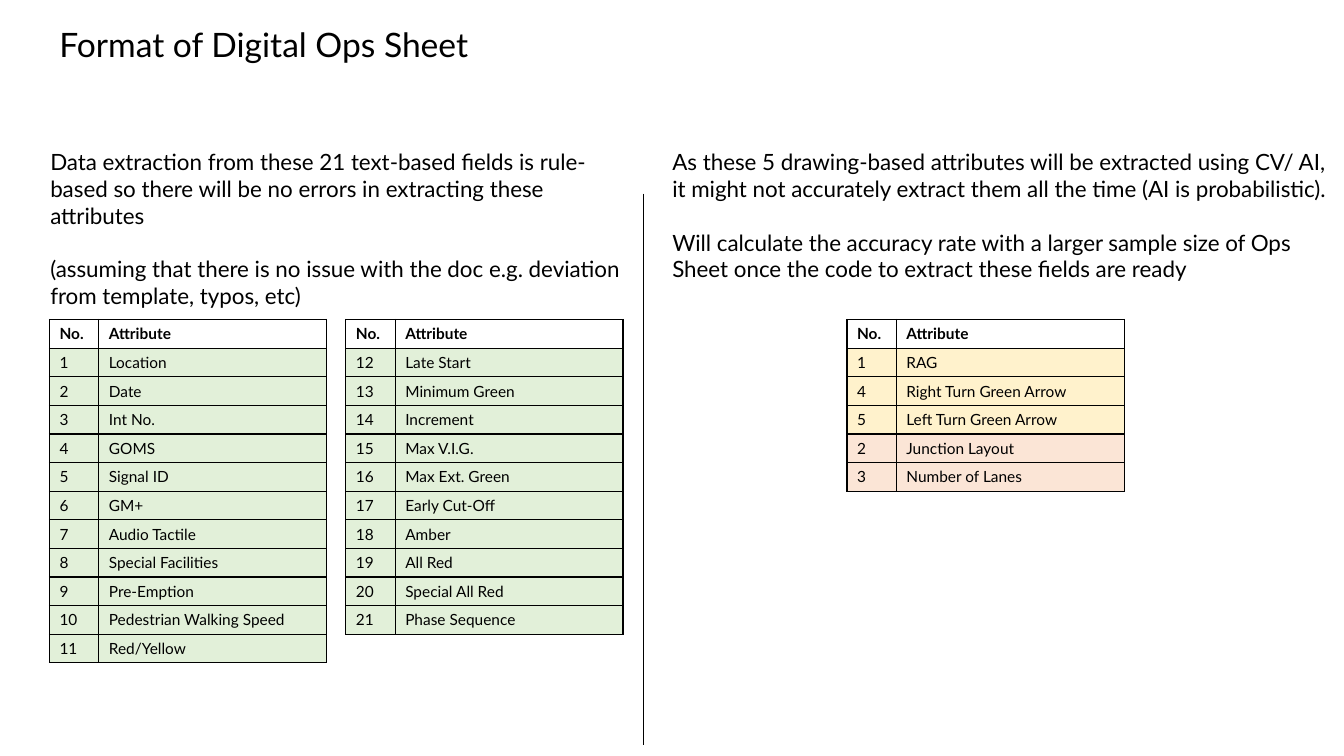
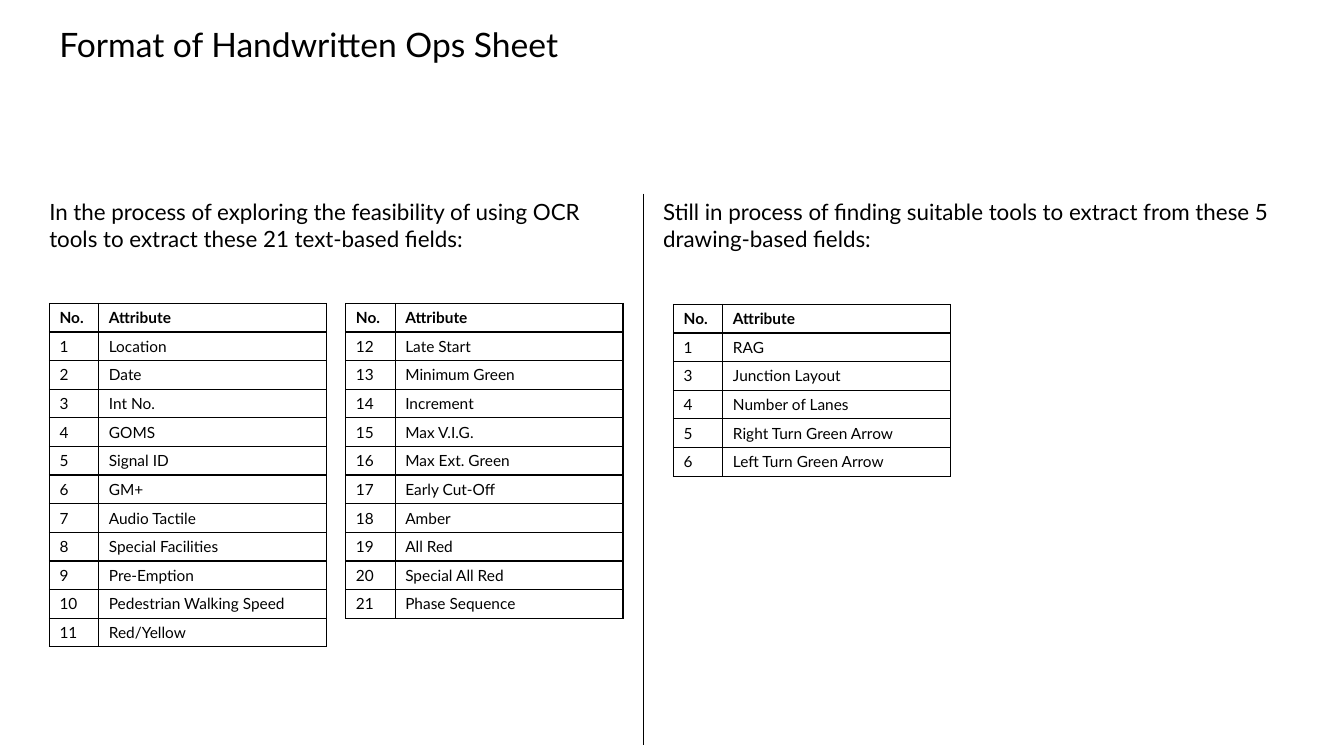
from lxml import etree
from pptx import Presentation
from pptx.dml.color import RGBColor
from pptx.enum.shapes import MSO_CONNECTOR
from pptx.oxml.ns import qn
from pptx.util import Inches, Pt

STRAIGHT = MSO_CONNECTOR.STRAIGHT
BLACK = RGBColor(0x00, 0x00, 0x00)
GREEN = RGBColor(0xE2, 0xF0, 0xD9)
YELLOW = RGBColor(0xFF, 0xF2, 0xCC)
ORANGE = RGBColor(0xFB, 0xE5, 0xD6)
FONT = "Lato"

# Shared grid, in inches
SLIDE_WIDTH, SLIDE_HEIGHT = 13.33, 7.5
MARGIN = 0.49
COLUMN_WIDTHS = (0.49, 2.26)
TABLE_WIDTH = sum(COLUMN_WIDTHS)
TABLE_GAP = 0.19
ROW_HEIGHT = 0.28
LEFT_WIDTH, RIGHT_WIDTH = 5.88, 6.73
DIVIDER_X, DIVIDER_TOP, DIVIDER_BOTTOM = 6.38, 1.92, 7.39
BODY_GAP = 19.2  # points, one line of body text

TEXT_FIELDS = [
    "Location", "Date", "Int No.", "GOMS", "Signal ID", "GM+",
    "Audio Tactile", "Special Facilities", "Pre-Emption",
    "Pedestrian Walking Speed", "Red/Yellow", "Late Start",
    "Minimum Green", "Increment", "Max V.I.G.", "Max Ext. Green",
    "Early Cut-Off", "Amber", "All Red", "Special All Red",
    "Phase Sequence",
]
FIRST_TABLE_ROWS = 11


def add_span(para, text, size, bold=False):
    span = para.add_run()
    span.text = text
    span.font.name = FONT
    span.font.size = Pt(size)
    span.font.bold = bold
    span.font.color.rgb = BLACK


def add_text(page, box, paragraphs, size):
    """Wrapped text, with one line of space between paragraphs."""
    frame = page.shapes.add_textbox(*map(Inches, box)).text_frame
    frame.word_wrap = True
    for index, text in enumerate(paragraphs):
        para = frame.add_paragraph() if index else frame.paragraphs[0]
        if index:
            para.space_before = Pt(BODY_GAP)
        add_span(para, text, size)


def add_borders(cell):
    properties = cell._tc.get_or_add_tcPr()
    for side in ("a:lnL", "a:lnR", "a:lnT", "a:lnB"):
        line = etree.SubElement(properties, qn(side), w=str(Pt(1)))
        fill = etree.SubElement(line, qn("a:solidFill"))
        etree.SubElement(fill, qn("a:srgbClr"), val=str(BLACK))


def add_attribute_table(page, left, top, rows):
    """Header plus rows of (number, attribute, fill colour or None)."""
    rows = [("No.", "Attribute", None)] + rows
    table = page.shapes.add_table(
        len(rows), len(COLUMN_WIDTHS), Inches(left), Inches(top),
        Inches(TABLE_WIDTH), Inches(ROW_HEIGHT * len(rows))).table
    table.first_row = table.horz_banding = False
    for column, width in zip(table.columns, COLUMN_WIDTHS):
        column.width = Inches(width)
    for index, (number, attribute, color) in enumerate(rows):
        table.rows[index].height = Inches(ROW_HEIGHT)
        for cell, text in zip(table.rows[index].cells, (number, attribute)):
            add_borders(cell)
            if color is None:
                cell.fill.background()
            else:
                cell.fill.solid()
                cell.fill.fore_color.rgb = color
            add_span(cell.text_frame.paragraphs[0], str(text), 11, index == 0)


def add_text_field_tables(page, left, top, color):
    """The 21 text fields, split over two tables side by side."""
    rows = [(number, name, color) for number, name in enumerate(TEXT_FIELDS, 1)]
    for index, part in enumerate((rows[:FIRST_TABLE_ROWS], rows[FIRST_TABLE_ROWS:])):
        add_attribute_table(page, left + index * (TABLE_WIDTH + TABLE_GAP), top, part)


def add_divider(page):
    line = page.shapes.add_connector(
        STRAIGHT, Inches(DIVIDER_X), Inches(DIVIDER_TOP),
        Inches(DIVIDER_X), Inches(DIVIDER_BOTTOM))
    line.line.color.rgb = BLACK
    line.line.width = Pt(0.5)
    etree.SubElement(line._element.spPr, qn("a:effectLst"))


def add_format_slide(deck, title, text_top, text_height, left_text, right_text,
                     table_top, field_color, drawing_table):
    """Title, text fields left of the divider, drawing fields right of it."""
    page = deck.slides.add_slide(deck.slide_layouts[6])
    add_text(page, (MARGIN, 0.19, DIVIDER_X - MARGIN, 0.5), [title], 24)
    add_divider(page)

    # Left half
    left, paragraphs = left_text
    add_text(page, (left, text_top, LEFT_WIDTH, text_height), paragraphs, 16)
    add_text_field_tables(page, MARGIN, table_top, field_color)

    # Right half
    left, paragraphs = right_text
    add_text(page, (left, text_top, RIGHT_WIDTH, text_height), paragraphs, 16)
    add_attribute_table(page, *drawing_table)


def main():
    deck = Presentation()
    deck.slide_width = Inches(SLIDE_WIDTH)
    deck.slide_height = Inches(SLIDE_HEIGHT)

    add_format_slide(
        deck, "Format of Digital Ops Sheet", 1.42, 1.72,
        (0.4, [
            "Data extraction from these 21 text-based fields is rule-based so "
            "there will be no errors in extracting these attributes",
            "(assuming that there is no issue with the doc e.g. deviation from "
            "template, typos, etc)"]),
        (6.57, [
            "As these 5 drawing-based attributes will be extracted using CV/ AI, "
            "it might not accurately extract them all the time (AI is "
            "probabilistic).",
            "Will calculate the accuracy rate with a larger sample size of Ops "
            "Sheet once the code to extract these fields are ready"]),
        3.17, GREEN,
        (8.4, 3.17, [
            (1, "RAG", YELLOW),
            (4, "Right Turn Green Arrow", YELLOW),
            (5, "Left Turn Green Arrow", YELLOW),
            (2, "Junction Layout", ORANGE),
            (3, "Number of Lanes", ORANGE)]))

    add_format_slide(
        deck, "Format of Handwritten Ops Sheet", 1.92, 0.64,
        (0.39, [
            "In the process of exploring the feasibility of using OCR tools to "
            "extract these 21 text-based fields:"]),
        (6.48, [
            "Still in process of finding suitable tools to extract from these 5 "
            "drawing-based fields:"]),
        3.01, None,
        (6.68, 3.02, [
            (1, "RAG", None),
            (3, "Junction Layout", None),
            (4, "Number of Lanes", None),
            (5, "Right Turn Green Arrow", None),
            (6, "Left Turn Green Arrow", None)]))

    deck.save("out.pptx")


if __name__ == "__main__":
    main()
